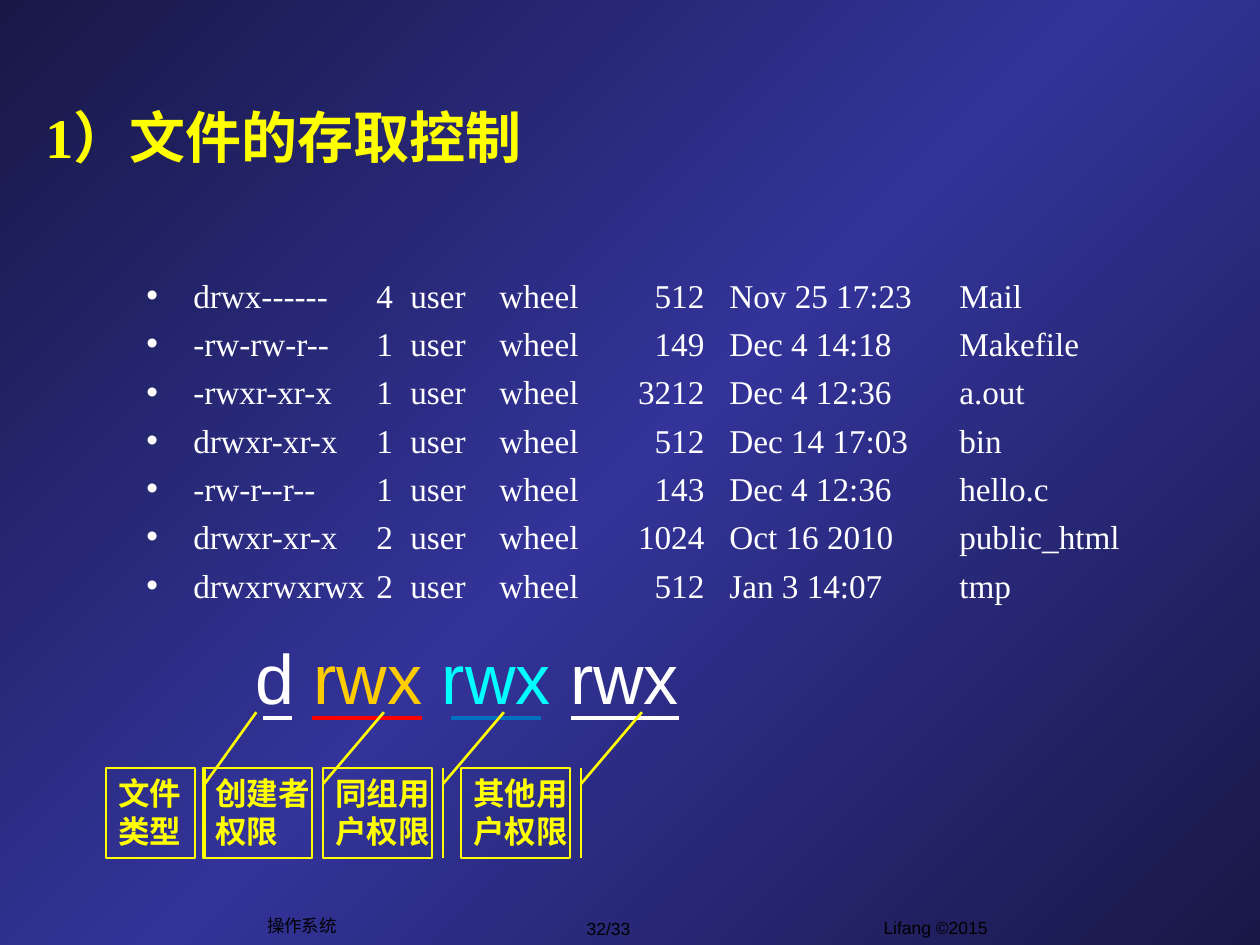
from copy import deepcopy

from pptx import Presentation
from pptx.dml.color import RGBColor
from pptx.enum.shapes import MSO_CONNECTOR as Link, MSO_SHAPE as Shape
from pptx.enum.text import MSO_ANCHOR as Anchor, PP_ALIGN as Align
from pptx.oxml.ns import qn
from pptx.util import Pt
from lxml.etree import SubElement

SCALE = 914400 / 126
NAVY, BLUE = RGBColor(0x18, 0x18, 0x47), RGBColor(0x33, 0x33, 0x99)
WHITE, BLACK = RGBColor(255, 255, 255), RGBColor(0, 0, 0)
YELLOW, GOLD = RGBColor(255, 255, 0), RGBColor(0xFF, 0xCC, 0)
CYAN, RED = RGBColor(0, 255, 255), RGBColor(255, 0, 0)
AZURE = RGBColor(0, 0x70, 0xC0)
SANS, SERIF = "Arial", "Times New Roman"

FILES = [
    ("drwx------", "4", "user", "wheel", "512", "Nov 25 17:23", "Mail"),
    ("-rw-rw-r--", "1", "user", "wheel", "149", "Dec 4 14:18", "Makefile"),
    ("-rwxr-xr-x", "1", "user", "wheel", "3212", "Dec 4 12:36", "a.out"),
    ("drwxr-xr-x", "1", "user", "wheel", "512", "Dec 14 17:03", "bin"),
    ("-rw-r--r--", "1", "user", "wheel", "143", "Dec 4 12:36", "hello.c"),
    ("drwxr-xr-x", "2", "user", "wheel", "1024", "Oct 16 2010", "public_html"),
    ("drwxrwxrwx", "2", "user", "wheel", "512", "Jan 3 14:07", "tmp"),
]
# Tab stops of the file list, measured from the left edge of its text
STOPS = [(230, "l"), (264, "l"), (353, "l"), (558, "r"), (583, "l"), (813, "l")]
INDENT = 47
MODES = [("d ", WHITE), ("rwx ", GOLD), ("rwx ", CYAN), ("rwx", WHITE)]
RULES = [(263, 292, WHITE), (312, 422, RED), (451, 541, AZURE), (571, 679, WHITE)]
RULE_Y = 718
# Left, width, gap to the accent bar, reach of the pointer
LABELS = [
    ("文件\n类型", 106, 89, 10, 51),
    ("创建者\n权限", 203, 109, 11, 61),
    ("同组用\n户权限", 323, 109, 11, 61),
    ("其他用\n户权限", 461, 109, 11, 61),
]
LABEL_Y, LABEL_H = 768, 90
JOINT_Y, TIP_Y = 784, 712
FOOTERS = [
    ("Lifang ©2015", 736, 911, 399, 44, Anchor.TOP),
    ("32/33", 544, 911, 129, 34, Anchor.MIDDLE),
    ("操作系统", 232, 908, 140, 34, Anchor.MIDDLE),
]


def px(n):
    return round(n * SCALE)


def style(run, size, color, face=SANS, bold=False):
    font = run.font
    font.size, font.name, font.bold = Pt(size), face, bold
    font.color.rgb = color


def add_text(slide, text, x, y, w, h, size, color, face=SANS, bold=False,
             anchor=Anchor.TOP, align=Align.LEFT):
    box = slide.shapes.add_textbox(px(x), px(y), px(w), px(h))
    frame = box.text_frame
    frame.word_wrap, frame.vertical_anchor = True, anchor
    frame.text = text
    for par in frame.paragraphs:
        par.alignment = align
        for run in par.runs:
            style(run, size, color, face, bold)
    return frame


def set_backdrop(slide):
    fill = slide.background.fill
    fill.gradient()
    fill.gradient_angle = 315
    stops = slide.element.xpath(".//a:gsLst")[0]
    stops.append(deepcopy(stops[0]))
    for stop, color, pos in zip(fill.gradient_stops, (NAVY, BLUE, NAVY), (0, 0.5, 1)):
        stop.color.rgb, stop.position = color, pos


def set_bullet(par):
    """Give a paragraph its hanging bullet and the column tab stops."""
    props = par._p.get_or_add_pPr()
    props.set("marL", str(px(INDENT)))
    props.set("indent", str(px(-INDENT)))
    SubElement(props, qn("a:buFont"), typeface=SANS)
    SubElement(props, qn("a:buChar"), char="•")
    tabs = SubElement(props, qn("a:tabLst"))
    for pos, side in STOPS:
        SubElement(tabs, qn("a:tab"), pos=str(px(pos)), algn=side)


def add_files(slide):
    text = "\n".join("\t".join(row) for row in FILES)
    frame = add_text(slide, text, 134, 269, 1126, 375, 19, WHITE, SERIF)
    for i, par in enumerate(frame.paragraphs):
        if i:
            par.space_before = Pt(4.8)
        set_bullet(par)


def add_modes(slide):
    frame = add_text(slide, "", 243, 628, 496, 97, 40, WHITE)
    for text, color in MODES:
        run = frame.paragraphs[0].add_run()
        run.text = text
        style(run, 40, color)


def add_rule(slide, left, right, color):
    line = slide.shapes.add_connector(
        Link.STRAIGHT, px(left), px(RULE_Y), px(right), px(RULE_Y))
    line.line.color.rgb, line.line.width = color, Pt(2.25)
    SubElement(line._element.spPr, qn("a:effectLst"))


def add_label(slide, text, x, w, gap, reach):
    """Add a callout whose accent bar stands right of the box."""
    box = slide.shapes.add_shape(
        Shape.LINE_CALLOUT_1_BORDER_AND_ACCENT_BAR,
        px(x), px(LABEL_Y), px(w), px(LABEL_H))
    box.shadow.inherit = False
    box.fill.background()
    box.line.color.rgb, box.line.width = YELLOW, Pt(1.5)
    points = ((JOINT_Y - LABEL_Y) / LABEL_H, (w + gap) / w,
              (TIP_Y - LABEL_Y) / LABEL_H, (w + gap + reach) / w)
    for i, value in enumerate(points):
        box.adjustments[i] = round(value, 2)
    frame = box.text_frame
    frame.word_wrap, frame.vertical_anchor = False, Anchor.TOP
    frame.text = text
    for par in frame.paragraphs:
        par.alignment = Align.LEFT
        style(par.runs[0], 18, YELLOW, bold=True)


def main():
    prs = Presentation()
    prs.slide_width, prs.slide_height = px(1260), px(945)
    slide = prs.slides.add_slide(prs.slide_layouts[6])
    set_backdrop(slide)
    for text, x, y, w, h, anchor in FOOTERS:
        add_text(slide, text, x, y, w, h, 10, BLACK, anchor=anchor, align=Align.CENTER)
    add_files(slide)
    add_modes(slide)
    for rule in RULES:
        add_rule(slide, *rule)
    for label in LABELS:
        add_label(slide, *label)
    add_text(slide, "1）文件的存取控制", 33, 57, 1071, 158, 32, YELLOW, SERIF,
             bold=True, anchor=Anchor.MIDDLE)
    prs.save("out.pptx")


if __name__ == "__main__":
    main()
